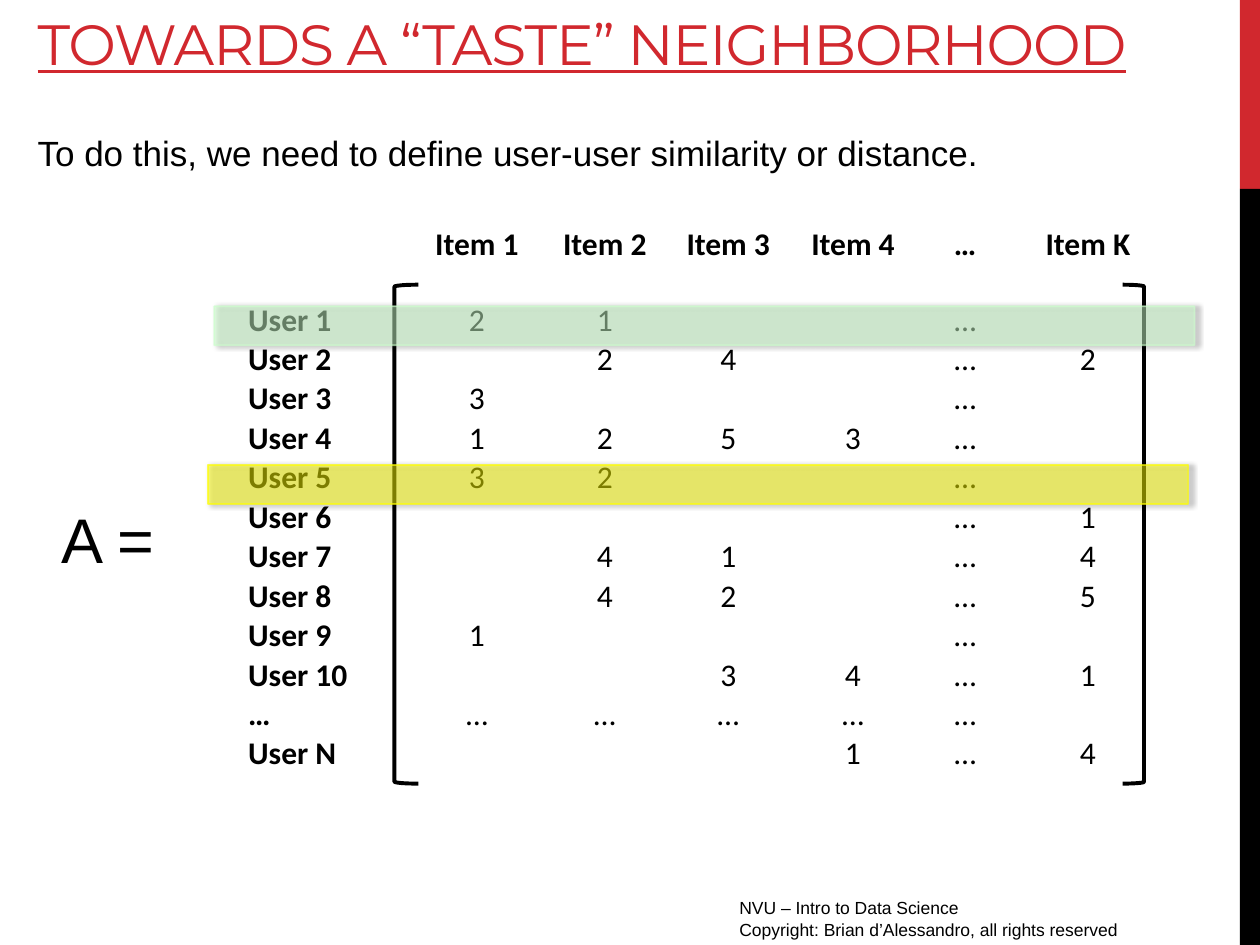
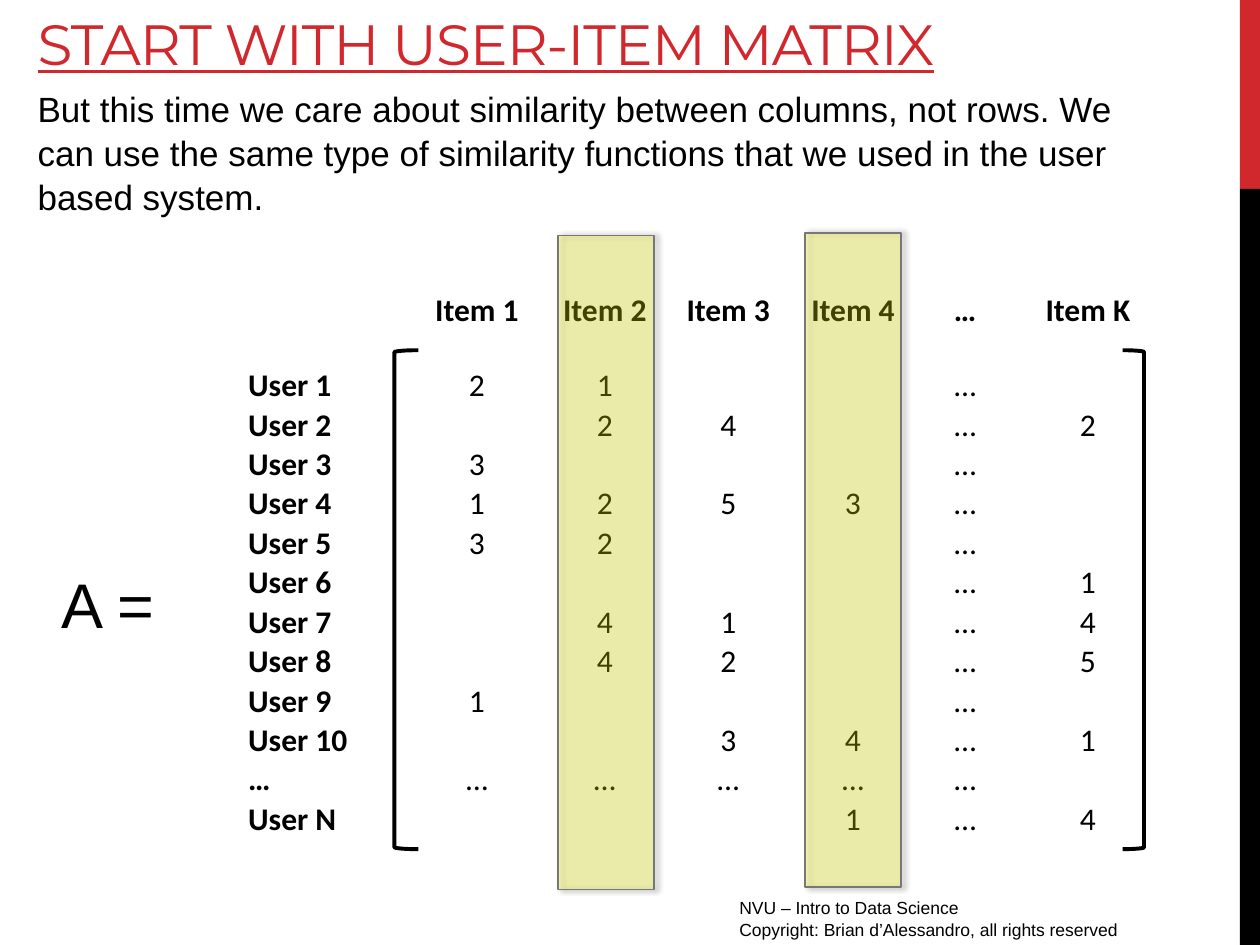
from dataclasses import dataclass
from typing import Any, Optional

from lxml import etree
from pptx import Presentation
from pptx.dml.color import RGBColor
from pptx.enum.shapes import MSO_SHAPE
from pptx.enum.text import MSO_ANCHOR, PP_ALIGN
from pptx.oxml.ns import qn
from pptx.util import Inches, Pt

RECTANGLE = MSO_SHAPE.RECTANGLE
LEFT_BRACKET = MSO_SHAPE.LEFT_BRACKET
RIGHT_BRACKET = MSO_SHAPE.RIGHT_BRACKET
TOP, BOTTOM = MSO_ANCHOR.TOP, MSO_ANCHOR.BOTTOM
LEFT, CENTER = PP_ALIGN.LEFT, PP_ALIGN.CENTER

SLIDE_WIDTH, SLIDE_HEIGHT = Inches(10), Inches(7.5)
COLUMN, ROW = SLIDE_WIDTH / 100, SLIDE_HEIGHT / 75


@dataclass(frozen=True)
class Theme:
    red: str = "D1282E"
    black: str = "000000"
    yellow: str = "FFFF00"
    green: str = "CCFFCC"
    gray: str = "777777"
    title_font: str = "Montserrat"
    body_font: str = "Arial"
    table_font: str = "Calibri"
    title_size: float = 32.4
    body_size: float = 20
    label_size: float = 36
    table_size: float = 18
    footer_size: float = 10
    line_spacing: float = 1.05
    bracket_width: float = 2.25


THEME = Theme()


@dataclass(frozen=True)
class Box:
    left: float
    top: float
    width: float
    height: float

    def lengths(self) -> tuple[int, int, int, int]:
        return (round(self.left * COLUMN), round(self.top * ROW),
                round(self.width * COLUMN), round(self.height * ROW))


@dataclass(frozen=True)
class TextStyle:
    font: str
    size: float
    color: str = THEME.black
    bold: bool = False
    underline: bool = False
    spacing: Optional[int] = None


@dataclass(frozen=True)
class Highlight:
    box: Box
    fill: str
    opacity: int
    line: str
    line_opacity: int = 100


@dataclass(frozen=True)
class MatrixSlide:
    title: str
    body: str
    body_box: Box
    matrix_top: float
    highlights: tuple[Highlight, ...]


TITLE = TextStyle(THEME.title_font, THEME.title_size, THEME.red, underline=True, spacing=-60)
BODY = TextStyle(THEME.body_font, THEME.body_size)
LABEL = TextStyle(THEME.body_font, THEME.label_size)
FOOTER = TextStyle(THEME.body_font, THEME.footer_size)
HEADING = TextStyle(THEME.table_font, THEME.table_size, bold=True)
RATING = TextStyle(THEME.table_font, THEME.table_size)

TITLE_BOX = Box(2, 0, 95, 6.3)
FOOTER_BOX = Box(57.7, 70.6, 37.5, 3.1)
FOOTER_LINES = ("NVU – Intro to Data Science",
                "Copyright: Brian d’Alessandro, all rights reserved")
BANDS = ((Box(98.4, 0, 1.6, 15), THEME.red), (Box(98.4, 15, 1.6, 60), THEME.black))

MATRIX_LEFT = 19.6
COLUMN_WIDTHS = (13, 10.5, 9.8, 9.8, 10, 7.8, 11.7)
HEADER_HEIGHT, USER_HEIGHT = 6, 3.13
MATRIX = (
    ("", "Item 1", "Item 2", "Item 3", "Item 4", "…", "Item K"),
    ("User 1", "2", "1", "", "", "…", ""),
    ("User 2", "", "2", "4", "", "…", "2"),
    ("User 3", "3", "", "", "", "…", ""),
    ("User 4", "1", "2", "5", "3", "…", ""),
    ("User 5", "3", "2", "", "", "…", ""),
    ("User 6", "", "", "", "", "…", "1"),
    ("User 7", "", "4", "1", "", "…", "4"),
    ("User 8", "", "4", "2", "", "…", "5"),
    ("User 9", "1", "", "", "", "…", ""),
    ("User 10", "", "", "3", "4", "…", "1"),
    ("…", "…", "…", "…", "…", "…", ""),
    ("User N", "", "", "", "1", "…", "4"),
)


def row_highlight(left: float, top: float, color: str) -> Highlight:
    return Highlight(Box(left, top, 77.8, 3.1), color, 49, color, 65)


def column_highlight(left: float, top: float) -> Highlight:
    return Highlight(Box(left, top, 7.6, 51.9), THEME.yellow, 26, THEME.gray)


SLIDES = (
    MatrixSlide(
        "TOWARDS A “TASTE” NEIGHBORHOOD",
        "To do this, we need to define user-user similarity or distance.",
        Box(2, 9.8, 89.3, 6.6), 17.8,
        (row_highlight(16.5, 36.9, THEME.yellow), row_highlight(17, 24.3, THEME.green)),
    ),
    MatrixSlide(
        "START WITH USER-ITEM MATRIX",
        "But this time we care about similarity between columns, not rows. We can use "
        "the same type of similarity functions that we used in the user based system.",
        Box(2, 6.3, 89.3, 11.1), 23,
        (column_highlight(44.3, 18.7), column_highlight(63.9, 18.5)),
    ),
)


def apply_format(target: Any, values: dict[str, Any]) -> None:
    for name, value in values.items():
        setattr(target, name, value)


def write_paragraph(paragraph: Any, text: str, style: TextStyle) -> None:
    run = paragraph.add_run()
    run.text = text
    apply_format(run.font, {"name": style.font, "size": Pt(style.size),
                            "bold": style.bold, "underline": style.underline})
    run.font.color.rgb = RGBColor.from_string(style.color)
    if style.spacing is not None:
        run.font._element.set("spc", str(style.spacing))


def add_text(slide: Any, box: Box, lines: tuple[str, ...], style: TextStyle,
             anchor: Any = TOP, bottom: float = 0.05) -> None:
    frame = slide.shapes.add_textbox(*box.lengths()).text_frame
    apply_format(frame, {"word_wrap": True, "vertical_anchor": anchor,
                         "margin_bottom": Inches(bottom)})
    for index, line in enumerate(lines):
        paragraph = frame.add_paragraph() if index else frame.paragraphs[0]
        paragraph.line_spacing = THEME.line_spacing
        write_paragraph(paragraph, line, style)


def add_shape(slide: Any, kind: Any, box: Box, fill: Optional[str] = None,
              line: Optional[str] = None, line_width: float = 1) -> Any:
    shape = slide.shapes.add_shape(kind, *box.lengths())
    shape.shadow.inherit = False
    if fill:
        shape.fill.solid()
        shape.fill.fore_color.rgb = RGBColor.from_string(fill)
    else:
        shape.fill.background()
    if line:
        shape.line.color.rgb = RGBColor.from_string(line)
        shape.line.width = Pt(line_width)
    else:
        shape.line.fill.background()
    return shape


def set_opacity(color: Any, percent: int) -> None:
    etree.SubElement(color, qn("a:alpha"), val=str(percent * 1000))


def add_highlight(slide: Any, highlight: Highlight) -> None:
    shape = add_shape(slide, RECTANGLE, highlight.box, highlight.fill, highlight.line)
    properties = shape._element.spPr
    fill_color = properties.find(f"{qn('a:solidFill')}/{qn('a:srgbClr')}")
    line_color = properties.find(f"{qn('a:ln')}//{qn('a:srgbClr')}")
    set_opacity(fill_color, highlight.opacity)
    if highlight.line_opacity < 100:
        set_opacity(line_color, highlight.line_opacity)
    shadow = etree.SubElement(properties.find(qn("a:effectLst")), qn("a:outerShdw"),
                              blurRad=str(Pt(3.1)), dist=str(Pt(1.8)), dir="0", rotWithShape="0")
    set_opacity(etree.SubElement(shadow, qn("a:srgbClr"), val=THEME.black), 40)


def add_matrix(slide: Any, top: float) -> None:
    user_count = len(MATRIX) - 1
    box = Box(MATRIX_LEFT, top, sum(COLUMN_WIDTHS), HEADER_HEIGHT + user_count * USER_HEIGHT)
    table = slide.shapes.add_table(len(MATRIX), len(COLUMN_WIDTHS), *box.lengths()).table
    apply_format(table, {"first_row": False, "horz_banding": False})
    for column, width in zip(table.columns, COLUMN_WIDTHS):
        column.width = round(width * COLUMN)
    margins = {"margin_left": Inches(0.01), "margin_right": Inches(0.01),
               "margin_top": Inches(0.01), "margin_bottom": 0}
    for row_index, values in enumerate(MATRIX):
        table.rows[row_index].height = round((USER_HEIGHT if row_index else HEADER_HEIGHT) * ROW)
        for column_index, value in enumerate(values):
            cell = table.cell(row_index, column_index)
            cell.fill.background()
            apply_format(cell, margins | {"vertical_anchor": BOTTOM if row_index else TOP})
            if value:
                paragraph = cell.text_frame.paragraphs[0]
                paragraph.alignment = CENTER if column_index else LEFT
                is_rating = row_index and column_index
                write_paragraph(paragraph, value, RATING if is_rating else HEADING)
    brackets = ((LEFT_BRACKET, 31.3, 1.9), (RIGHT_BRACKET, 89.1, 1.7))
    for kind, left, width in brackets:
        add_shape(slide, kind, Box(left, top + 4.8, width, 39.6),
                  line=THEME.black, line_width=THEME.bracket_width)
    add_text(slide, Box(3.9, top + 21.1, 12.6, 7.1), ("A =",), LABEL)


def add_matrix_slide(presentation: Any, content: MatrixSlide) -> None:
    slide = presentation.slides.add_slide(presentation.slide_layouts[6])
    for box, color in BANDS:
        add_shape(slide, RECTANGLE, box, color)
    add_text(slide, FOOTER_BOX, FOOTER_LINES, FOOTER)
    add_text(slide, TITLE_BOX, (content.title,), TITLE, BOTTOM, 0.02)
    add_text(slide, content.body_box, (content.body,), BODY)
    add_matrix(slide, content.matrix_top)
    for highlight in content.highlights:
        add_highlight(slide, highlight)


def main() -> None:
    presentation = Presentation()
    apply_format(presentation, {"slide_width": SLIDE_WIDTH, "slide_height": SLIDE_HEIGHT})
    for content in SLIDES:
        add_matrix_slide(presentation, content)
    presentation.save("out.pptx")


if __name__ == "__main__":
    main()
